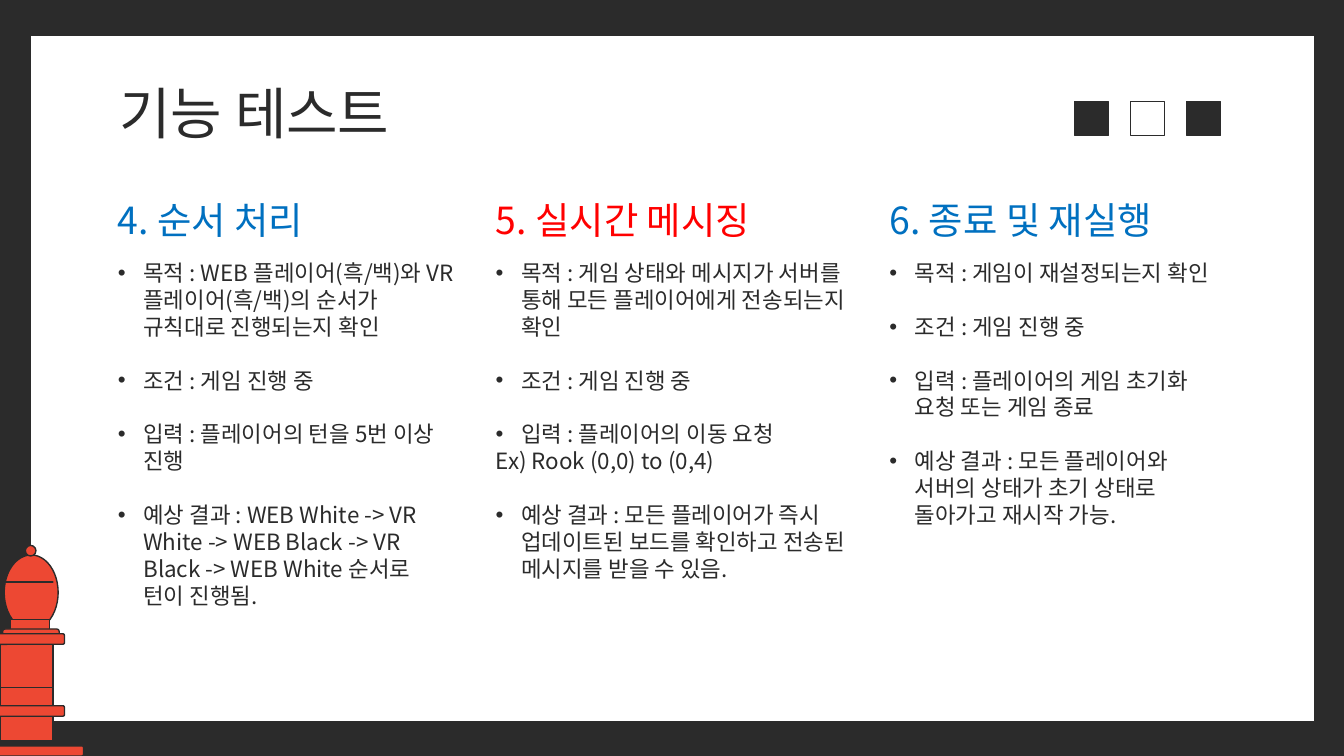
from lxml import etree
from pptx import Presentation, util as u
from pptx.dml.color import RGBColor
from pptx.enum import shapes, text
from pptx.oxml.ns import qn

FONT = "Noto Sans CJK KR"
DARK, WHITE, RED = "2B2B2B", "FFFFFF", "ED4833"
KIND = shapes.MSO_SHAPE

# Column: left, width, heading, heading colour, items (a second line is unbulleted)
COLUMNS = [
    (1.98, 6.86, "4. 순서 처리", "0070C0", [
        "목적 : WEB 플레이어(흑/백)와 VR 플레이어(흑/백)의 순서가 규칙대로 진행되는지 확인",
        "조건 : 게임 진행 중",
        "입력 : 플레이어의 턴을 5번 이상 진행",
        "예상 결과 : WEB White -> VR White -> WEB Black -> VR Black"
        " -> WEB White 순서로 턴이 진행됨."]),
    (9.12, 7.16, "5. 실시간 메시징", "FF0000", [
        "목적 : 게임 상태와 메시지가 서버를 통해 모든 플레이어에게 전송되는지 확인",
        "조건 : 게임 진행 중",
        "입력 : 플레이어의 이동 요청\nEx) Rook (0,0) to (0,4)",
        "예상 결과 : 모든 플레이어가 즉시 업데이트된 보드를 확인하고 전송된 메시지를 받을 수 있음."]),
    (16.56, 6.86, "6. 종료 및 재실행", "0070C0", [
        "목적 : 게임이 재설정되는지 확인",
        "조건 : 게임 진행 중",
        "입력 : 플레이어의 게임 초기화 요청 또는 게임 종료",
        "예상 결과 : 모든 플레이어와 서버의 상태가 초기 상태로 돌아가고 재시작 가능."]),
]

# Bishop outlines in cm: a pair is a line end, six numbers are a curve
NECK = [(0.25, 12.14), (0.25, 12.5), (0.25, 12.73, 0.23, 12.95, 0.13, 13.16),
        (0.1, 13.23, 0.08, 13.3, 0.05, 13.36), (1.14, 13.36),
        (1.12, 13.3, 1.07, 13.23, 1.04, 13.16),
        (0.97, 12.95, 0.91, 12.73, 0.91, 12.5), (0.91, 12.14)]
SLOT = [(0.38, 10.57), (0.33, 10.59, 0.28, 10.64, 0.23, 10.69), (0.61, 11.1),
        (0.66, 11.15, 0.74, 11.15, 0.77, 11.12),
        (0.79, 11.07, 0.79, 11.02, 0.77, 10.97)]
FOOT = [(0.03, 13.49), (-0.3, 13.74), (-0.36, 13.77, -0.38, 13.83, -0.38, 13.89),
        (-0.38, 14, -0.28, 14.1, -0.18, 14.1), (1.35, 14.1),
        (1.47, 14.1, 1.55, 14, 1.55, 13.89),
        (1.55, 13.83, 1.52, 13.77, 1.47, 13.74), (1.17, 13.49)]


def color(code):
    return RGBColor.from_string(code)


def paint(shape, fill):
    shape.shadow.inherit = False
    shape.fill.solid()
    shape.fill.fore_color.rgb = color(fill)
    shape.line.color.rgb = color(DARK)
    shape.line.width = u.Pt(0.75)


def block(slide, kind, box, fill):
    shape = slide.shapes.add_shape(kind, *map(u.Cm, box))
    paint(shape, fill)
    return shape


def curve(start, step, count=8):
    nodes = [start, step[:2], step[2:4], step[4:]]
    for i in range(1, count + 1):
        t = i / count
        parts = ((1 - t) ** 3, 3 * t * (1 - t) ** 2, 3 * t * t * (1 - t), t ** 3)
        yield tuple(sum(k * n[a] for k, n in zip(parts, nodes)) for a in (0, 1))


def outline(slide, steps, fill):
    points = [steps[0]]
    for step in steps[1:]:
        points += [step] if len(step) == 2 else list(curve(points[-1], step))
    form = slide.shapes.build_freeform(*points[0], scale=float(u.Cm(1)))
    form.add_line_segments(points[1:], close=True)
    paint(form.convert_to_shape(), fill)


def frame(slide, box, anchor=text.MSO_ANCHOR.TOP):
    body = slide.shapes.add_textbox(*map(u.Cm, box)).text_frame
    values = {"word_wrap": True, "vertical_anchor": anchor}
    values.update({f"margin_{s}": u.Cm(0.25)
                   for s in ("left", "right", "top", "bottom")})
    for name, value in values.items():
        setattr(body, name, value)
    return body


def write(para, words, size, code, gap=0):
    run = para.add_run()
    run.text = words
    for name, value in {"size": u.Pt(size), "name": FONT}.items():
        setattr(run.font, name, value)
    run.font.color.rgb = color(code)
    east = etree.SubElement(run.font._element, qn("a:ea"))
    east.set("typeface", FONT)
    pitch = u.Pt(size * 1.2)
    for name, value in {"line_spacing": pitch, "space_before": pitch * gap}.items():
        setattr(para, name, value)


def bullet(para):
    props = para._p.get_or_add_pPr()
    props.set("marL", str(u.Cm(0.48)))
    props.set("indent", str(-u.Cm(0.48)))
    tint = etree.SubElement(props, qn("a:buClr"))
    etree.SubElement(tint, qn("a:srgbClr")).set("val", DARK)
    etree.SubElement(props, qn("a:buFont")).set("typeface", "Arial")
    etree.SubElement(props, qn("a:buChar")).set("char", "•")


def column(slide, left, width, title, code, items):
    head = frame(slide, (left, 3.51, width, 1.32), text.MSO_ANCHOR.BOTTOM)
    write(head.paragraphs[0], title, 20, code)
    body = frame(slide, (left, 4.65, width, 8.41))
    for i, item in enumerate(items):
        for j, line in enumerate(item.split("\n")):
            para = body.add_paragraph() if i or j else body.paragraphs[0]
            if j == 0:
                bullet(para)
            write(para, line, 12, DARK, gap=int(i > 0 and j == 0))


def bishop(slide):
    outline(slide, NECK, RED)
    block(slide, KIND.OVAL, (0.08, 10.49, 1.02, 1.42), RED)
    outline(slide, SLOT, RED)
    block(slide, KIND.RECTANGLE, (0.2, 11.71, 0.74, 0.2), RED)
    collar = block(slide, KIND.ROUND_2_SAME_RECTANGLE, (0.05, 11.89, 1.07, 0.1), RED)
    collar.adjustments[0] = 0.5
    block(slide, KIND.ROUNDED_RECTANGLE, (-0.08, 11.98, 1.3, 0.2), RED)
    block(slide, KIND.ROUNDED_RECTANGLE, (-0.43, 14.1, 2.01, 0.19), RED)
    outline(slide, FOOT, RED)
    block(slide, KIND.ROUNDED_RECTANGLE, (-0.08, 13.34, 1.3, 0.2), RED)
    block(slide, KIND.OVAL, (0.48, 10.31, 0.2, 0.2), RED)


def main():
    deck = Presentation()
    deck.slide_width, deck.slide_height = u.Cm(25.4), u.Cm(14.29)
    slide = deck.slides.add_slide(deck.slide_layouts[6])

    # Backdrop
    slide.background.fill.solid()
    slide.background.fill.fore_color.rgb = color(DARK)
    block(slide, KIND.RECTANGLE, (0.58, 0.66, 24.26, 12.98), WHITE)
    bishop(slide)

    # Title and board squares
    write(frame(slide, (2.01, 1.24, 21.41, 1.6)).paragraphs[0], "기능 테스트", 30, DARK)
    for i, fill in enumerate((DARK, WHITE, DARK)):
        block(slide, KIND.RECTANGLE, (20.31 + 1.06 * i, 1.92, 0.64, 0.64), fill)

    # Test columns
    for entry in COLUMNS:
        column(slide, *entry)
    deck.save("out.pptx")


if __name__ == "__main__":
    main()
